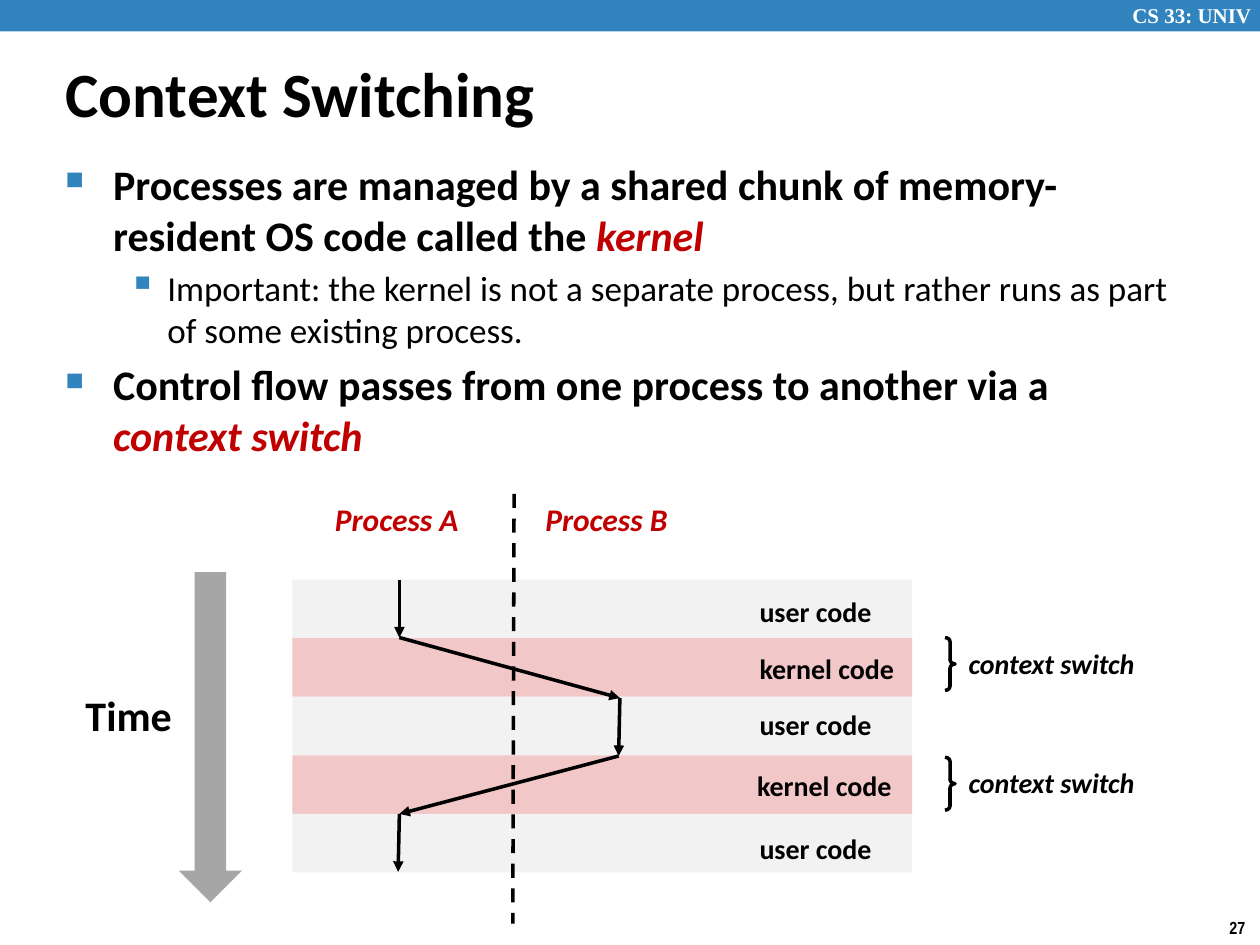
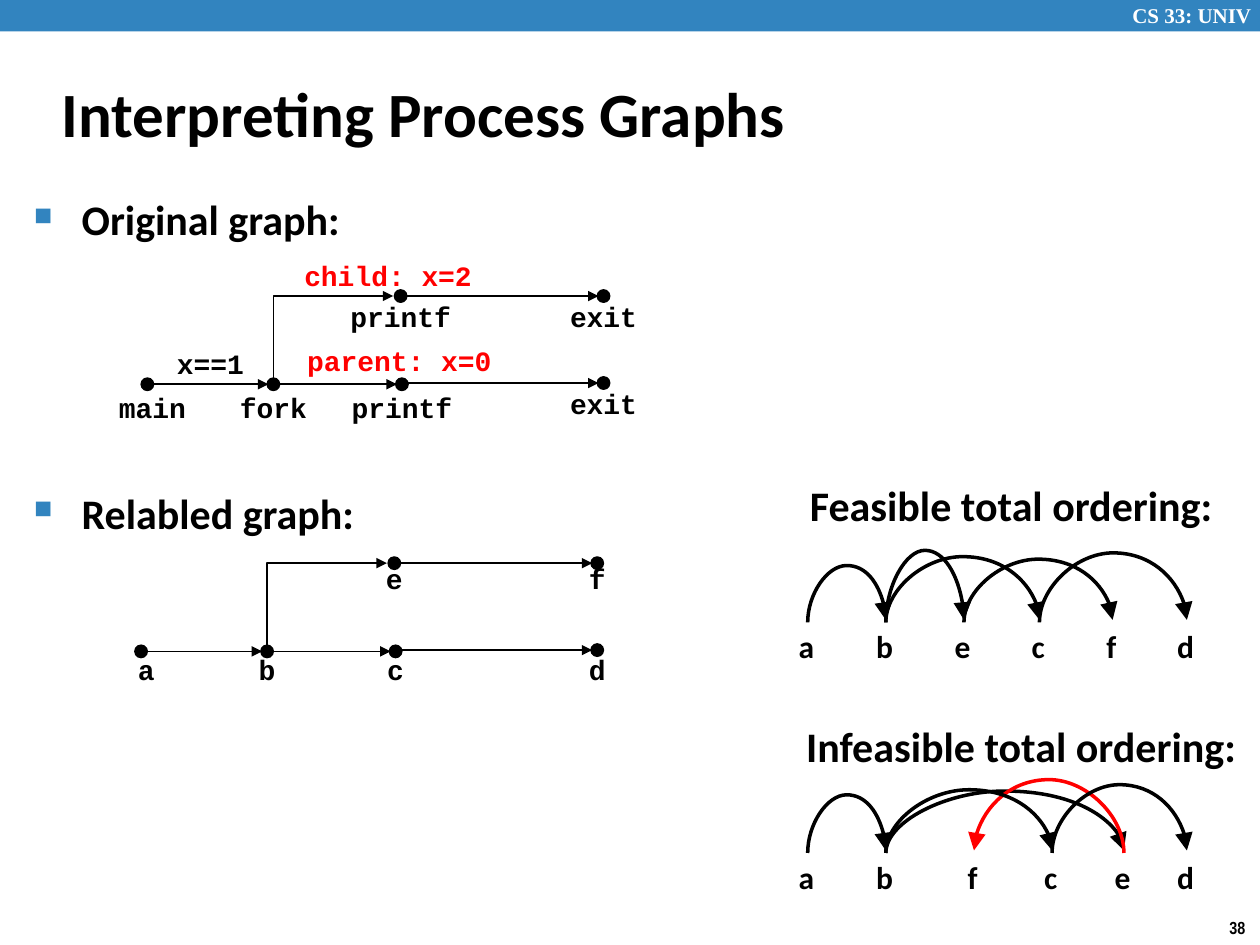
"""Build two slides on context switching and process graphs."""
from itertools import pairwise

from lxml import etree
from pptx import Presentation
from pptx import util as u
from pptx.dml.color import RGBColor
from pptx.enum import dml, shapes, text
from pptx.oxml import ns

HUES = {"band": "3284BF", "ink": "000000", "white": "FFFFFF", "key": "C00000",
        "red": "FF0000", "user": "F2F2F2", "kernel": "F1C7C7", "time": "A6A6A6"}
FORMS = shapes.MSO_SHAPE
LINKS = shapes.MSO_CONNECTOR
SIDES = text.PP_ALIGN
BULLETS = [(0.38, 0.38, "■", 60), (0.81, 0.31, "▪", 110)]


def hue(name):
    return RGBColor.from_string(HUES[name])


def add_tag(parent, tag, **attrs):
    return etree.SubElement(parent, ns.qn(tag), attrs)


def style(run, size, face="Calibri", color="ink", bold=True, slant=False):
    font = run.font
    font.size, font.name = u.Pt(size), face
    font.bold, font.italic = bold, slant
    font.color.rgb = hue(color)


def add_text(slide, words, left, top, width, height, size, side=SIDES.LEFT, **look):
    box = slide.shapes.add_textbox(*map(u.Inches, (left, top, width, height)))
    box.text_frame.word_wrap = False
    para = box.text_frame.paragraphs[0]
    para.text, para.alignment = words, side
    style(para.runs[0], size, **look)


def add_label(slide, words, mid, top, size, width=1.04, **look):
    add_text(slide, words, mid - width / 2, top, width, 0.37, size, SIDES.CENTER, **look)


def add_form(slide, form, left, top, width, height, fill=None, line=None, weight=0.75):
    item = slide.shapes.add_shape(form, *map(u.Inches, (left, top, width, height)))
    item.shadow.inherit = False
    if fill:
        item.fill.solid()
        item.fill.fore_color.rgb = hue(fill)
    else:
        item.fill.background()
    if line:
        item.line.color.rgb = hue(line)
        item.line.width = u.Pt(weight)
    else:
        item.line.fill.background()
    return item


def add_line(slide, start, end, weight, kind=LINKS.STRAIGHT, color="ink", dash=False):
    line = slide.shapes.add_connector(kind, *map(u.Inches, (*start, *end)))
    line.line.color.rgb = hue(color)
    line.line.width = u.Pt(weight)
    if dash:
        line.line.dash_style = dml.MSO_LINE.DASH
    else:
        size = "lg" if kind == LINKS.CURVE else "med"
        add_tag(line.line._get_or_add_ln(), "a:tailEnd", type="triangle", w=size, len=size)
    add_tag(line._element.spPr, "a:effectLst")
    return line


def add_turn(slide, start, end, preset, weight, kind, color="ink", bend=None):
    """Add a connector that leaves its start upwards."""
    (x0, y0), (x1, y1) = start, end
    midx, midy = (x0 + x1) / 2, (y0 + y1) / 2
    wide, high = (y0 - y1) / 2, abs(x1 - x0) / 2
    way = 1 if x1 > x0 else -1
    line = add_line(slide, (midx + way * wide, midy + high),
                    (midx - way * wide, midy - high), weight, kind, color)
    props = line._element.spPr
    props.find(ns.qn("a:xfrm")).set("rot", str((180 - way * 90) * 60000))
    geom = props.find(ns.qn("a:prstGeom"))
    geom.set("prst", preset)
    if bend:
        add_tag(geom.find(ns.qn("a:avLst")), "a:gd", name="adj1",
                fmla=f"val {round(bend * 100000)}")


def add_body(slide, left, top, width, height, items):
    """Add bulleted text from (level, space before, runs) items."""
    box = slide.shapes.add_textbox(*map(u.Inches, (left, top, width, height)))
    frame = box.text_frame
    frame.word_wrap = True
    for i, (level, space, parts) in enumerate(items):
        para = frame.add_paragraph() if i else frame.paragraphs[0]
        para.level, para.space_before = level, u.Pt(space)
        for words, key in parts:
            run = para.add_run()
            run.text = words
            style(run, 20 if level else 24, color="key" if key else "ink",
                  bold=not level, slant=key)
        margin, hang, mark, scale = BULLETS[level]
        props = para._p.get_or_add_pPr()
        props.set("marL", str(u.Inches(margin)))
        props.set("indent", str(-u.Inches(hang)))
        add_tag(add_tag(props, "a:buClr"), "a:srgbClr", val=HUES["band"])
        add_tag(props, "a:buSzPct", val=str(scale * 1000))
        add_tag(props, "a:buChar", char=mark)


def add_page(deck, title, place, number):
    """Add a slide with the shared band, title style and number."""
    slide = deck.slides.add_slide(deck.slide_layouts[5])
    add_form(slide, FORMS.RECTANGLE, 0, 0, 10, 0.25, "band")
    add_text(slide, "CS 33: UNIV", 8.83, -0.03, 1.2, 0.3, 12, SIDES.RIGHT,
             face="Times New Roman", color="white")
    add_text(slide, number, 9.66, 7.23, 0.34, 0.27, 10, face="Arial Narrow")
    head = slide.shapes.title
    head.left, head.top, head.width, head.height = map(u.Inches, place)
    frame = head.text_frame
    frame.text = title
    frame.vertical_anchor = text.MSO_ANCHOR.MIDDLE
    frame.paragraphs[0].alignment = SIDES.LEFT
    style(frame.paragraphs[0].runs[0], 36)
    return slide


def add_graph(slide, dx, dy, names):
    """Add a process graph from (name, label offset) pairs."""
    spots = [(1.17, 3.05), (2.17, 3.05), (3.19, 3.05),
             (3.18, 2.35), (4.79, 2.35), (4.79, 3.04)]
    spots = [(x + dx, y + dy) for x, y in spots]
    start, fork, low, high, top_end, low_end = spots
    for (x, y), (name, gap) in zip(spots, names):
        add_form(slide, FORMS.OVAL, x - 0.05, y - 0.05, 0.1, 0.1, "ink", "ink")
        mid = x + 0.04 if (x, y) == start else x
        add_label(slide, name, mid, y + gap, 16, face="Courier New")
    for (x0, y0), (x1, y1) in ((start, fork), (fork, low), (high, top_end), (low, low_end)):
        add_line(slide, (x0 + 0.04, y1), (x1 - 0.04, y1), 1)
    add_turn(slide, fork, (high[0] - 0.06, high[1]), "bentConnector2", 1, LINKS.ELBOW)


def add_order(slide, title, left, top, width, foot, spots, arcs):
    """Add a total ordering; arcs give (pair, rise, colour)."""
    add_text(slide, title, left, top, width, 0.5, 24)
    for name, x in spots.items():
        add_label(slide, name, x - 0.01, foot - 0.01, 18)
    drop = 0.02
    for (tail, tip), rise, color in arcs:
        add_turn(slide, (spots[tail], foot), (spots[tip], foot - drop),
                 "curvedConnector3", 2, LINKS.CURVE, color, rise / drop)


def add_switch(deck):
    slide = add_page(deck, "Context Switching", (0.42, 0.42, 6.39, 0.63), "27")
    add_body(slide, 0.42, 1.21, 9.07, 2.79, [
        (0, 4.8, [("Processes are managed by a shared chunk of memory-resident "
                   "OS code called the ", False), ("kernel", True)]),
        (1, 4, [("Important: the kernel is not a separate process, but rather "
                 "runs as part of some existing process.", False)]),
        (0, 4.8, [("Control flow passes from one process to another via a ", False),
                  ("context switch", True)])])
    step = 0.465
    labels = [(5.93, 4.67), (5.93, 5.12), (5.93, 5.57), (5.91, 6.05), (5.93, 6.55)]
    for i, (left, top) in enumerate(labels):
        mode = "kernel" if i % 2 else "user"
        add_form(slide, FORMS.RECTANGLE, 2.32, 4.6 + i * step, 4.92, step, mode)
        add_text(slide, f"{mode} code", left, top, 1.28 if i % 2 else 1.1, 0.37, 16)
    for name, left in (("Process A", 2.56), ("Process B", 4.23)):
        add_text(slide, name, left, 3.92, 1.2, 0.4, 18, color="key", slant=True)
    add_line(slide, (4.08, 3.92), (4.07, 7.33), 2, dash=True)
    for top in (5.06, 6.01):
        brace = add_form(slide, FORMS.RIGHT_BRACE, 7.5, top, 0.08, 0.42,
                         line="ink", weight=2)
        brace.adjustments[0] = 0.417
        add_text(slide, "context switch", 7.59, top + 0.02, 1.54, 0.37, 16, slant=True)
    add_text(slide, "Time", 0.58, 5.42, 0.89, 0.5, 24)
    add_form(slide, FORMS.DOWN_ARROW, 1.42, 4.54, 0.5, 2.62, "time")
    flow = [(3.17, 4.6), (3.17, 5.06), (4.92, 5.54), (4.91, 6), (3.17, 6.46), (3.16, 6.92)]
    for start, end in pairwise(flow):
        add_line(slide, start, end, 2)


def add_graphs(deck):
    slide = add_page(deck, "Interpreting Process Graphs", (0.39, 0.48, 8.3, 0.83), "38")
    add_body(slide, 0.17, 1.49, 5.14, 4.26, [
        (0, 4.8, [("Original graph:", False)]),
        (0, 139, [("Relabled graph:", False)])])
    add_graph(slide, 0, 0, [("main", 0), ("fork", 0), ("printf", 0),
                            ("printf", -0.02), ("exit", -0.02), ("exit", -0.02)])
    add_graph(slide, -0.05, 2.12, [("a", -0.04), ("b", -0.04), ("c", -0.04),
                                   ("e", -0.06), ("f", -0.06), ("d", -0.03)])
    for words, mid, top, color in (("child: x=2", 3.08, 2, "red"),
                                   ("parent: x=0", 3.17, 2.68, "red"),
                                   ("x==1", 1.67, 2.7, "ink")):
        add_label(slide, words, mid, top, 16, 2.01, face="Courier New", color=color)
    add_order(slide, "Feasible total ordering:", 6.33, 3.76, 3.44, 4.94,
              {"a": 6.41, "b": 7.03, "e": 7.65, "c": 8.25, "f": 8.83, "d": 9.42},
              [("ab", 0.45, "ink"), ("be", 0.57, "ink"), ("ef", 0.5, "ink"),
               ("bc", 0.52, "ink"), ("cd", 0.55, "ink")])
    add_order(slide, "Infeasible total ordering:", 6.3, 5.67, 3.67, 6.77,
              {"a": 6.41, "b": 7.03, "f": 7.73, "c": 8.35, "e": 8.92, "d": 9.42},
              [("ab", 0.46, "ink"), ("be", 0.49, "ink"), ("ef", 0.58, "red"),
               ("bc", 0.5, "ink"), ("cd", 0.54, "ink")])


def main():
    deck = Presentation()
    deck.slide_width, deck.slide_height = u.Inches(10), u.Inches(7.5)
    add_switch(deck)
    add_graphs(deck)
    deck.save("out.pptx")


if __name__ == "__main__":
    main()
